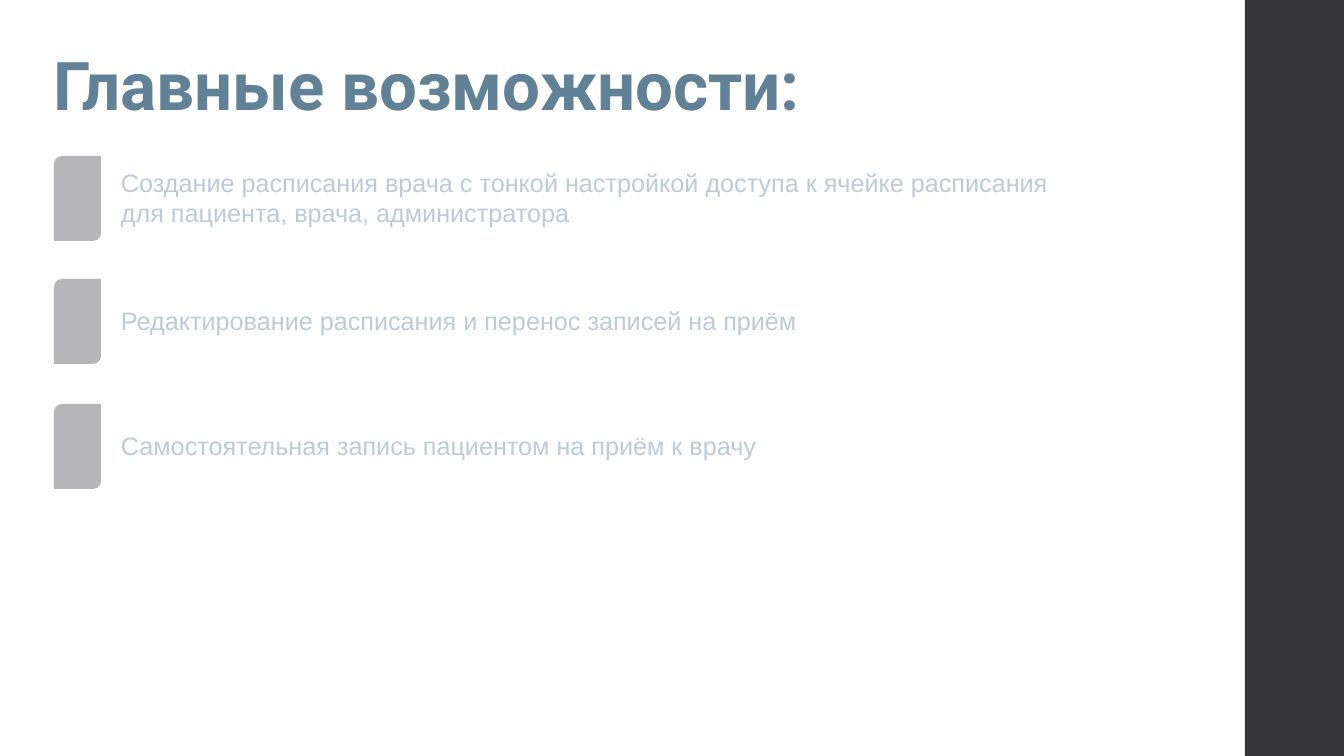
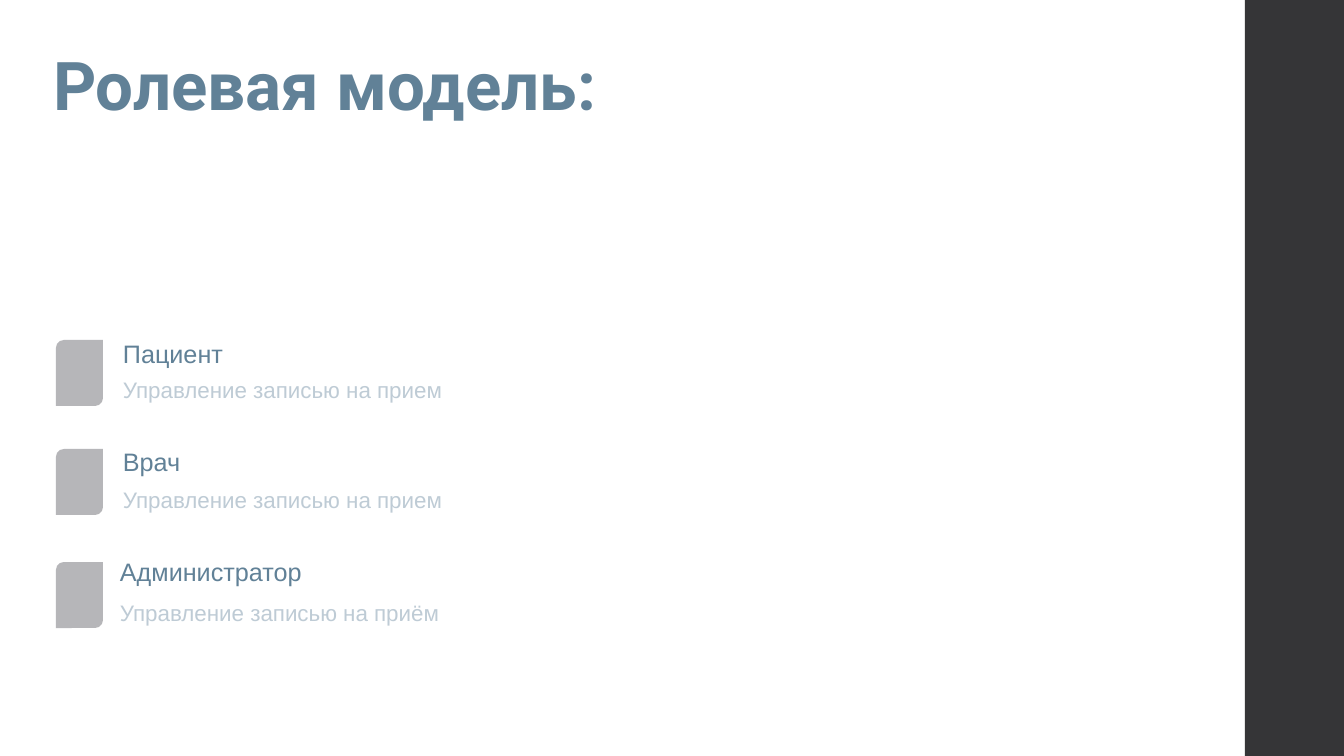
from pptx import Presentation
from pptx.dml.color import RGBColor
from pptx.enum.shapes import MSO_SHAPE
from pptx.enum.text import MSO_ANCHOR, MSO_AUTO_SIZE, PP_ALIGN
from pptx.oxml.ns import qn
from pptx.util import Pt
from lxml import etree

RECT, DIAG = MSO_SHAPE.RECTANGLE, MSO_SHAPE.ROUND_2_DIAG_RECTANGLE
TOP, MID, LOW = MSO_ANCHOR.TOP, MSO_ANCHOR.MIDDLE, MSO_ANCHOR.BOTTOM
LEFT, FIXED = PP_ALIGN.LEFT, MSO_AUTO_SIZE.NONE
SCALE = 914400 / 100.8
WIDE, HIGH = 1344, 756
COLORS = {"band": "353537", "mark": "6F6F74", "head": "618197", "pale": "BECBD5"}
FONTS = {
    "title": ({"name": "Roboto", "size": Pt(48), "bold": True}, "head"),
    "head": ({"name": "Arial", "size": Pt(18)}, "head"),
    "item": ({"name": "Arial", "size": Pt(18)}, "pale"),
    "note": ({"name": "Arial", "size": Pt(16)}, "pale"),
}
MARK_W = 47
ITEMS = [
    (156, "Создание расписания врача с тонкой настройкой доступа к ячейке расписания "
          "для пациента, врача, администратора"),
    (279, "Редактирование расписания и перенос записей на приём"),
    (404, "Самостоятельная запись пациентом на приём к врачу"),
]
ROLES = [
    (340, 57, -7, 31, "Пациент", "Управление записью на прием"),
    (449, 57, -8, 32, "Врач", "Управление записью на прием"),
    (562, 54, -11, 32, "Администратор", "Управление записью на приём"),
]


def px(*vals):
    """Turn pixel lengths into EMU."""
    return [round(val * SCALE) for val in vals]


def rgb(key):
    """Look up a named colour."""
    return RGBColor.from_string(COLORS[key])


def write(shape, text, style, anchor=TOP, pad=(10, 5)):
    """Fill a shape with one styled paragraph."""
    frame = shape.text_frame
    across, down = px(*pad)
    form = {"word_wrap": True, "auto_size": FIXED, "vertical_anchor": anchor,
            "margin_left": across, "margin_right": across,
            "margin_top": down, "margin_bottom": down}
    for key, val in form.items():
        setattr(frame, key, val)
    para = frame.paragraphs[0]
    para.alignment = LEFT
    run = para.add_run()
    run.text = text
    looks, color = FONTS[style]
    for key, val in looks.items():
        setattr(run.font, key, val)
    run.font.color.rgb = rgb(color)
    return para


def label(slide, box, text, style, anchor=TOP):
    """Add a text box."""
    write(slide.shapes.add_textbox(*px(*box)), text, style, anchor)


def block(slide, kind, box, color, alpha=None):
    """Add a plain filled shape, see-through if alpha is given."""
    shape = slide.shapes.add_shape(kind, *px(*box))
    shape.shadow.inherit = False
    shape.fill.solid()
    shape.fill.fore_color.rgb = rgb(color)
    shape.line.fill.background()
    if alpha:
        tint = shape.fill._xPr.find(qn("a:solidFill"))[0]
        etree.SubElement(tint, qn("a:alpha")).set("val", str(alpha * 1000))


def base(deck, text):
    """Start a slide with its side band and title."""
    slide = deck.slides.add_slide(deck.slide_layouts[5])
    block(slide, RECT, (1245, 0, WIDE - 1245, HIGH), "band")
    title = slide.shapes.title
    title.left, title.top, title.width, title.height = px(43, 33, 985, 102)
    write(title, text, "title", LOW, (10, 10)).line_spacing = 0.9
    return slide


def item(slide, box, text):
    """Place a marker with text centred beside it."""
    x, y, w, h = box
    block(slide, DIAG, (x, y, MARK_W, h), "mark", 50)
    label(slide, (x + 57, y - 1, w - 57, h), text, "item", MID)


def role(slide, box, shift, rise, drop, name, note):
    """Place a marker with a role name and a note beside it."""
    x, y, w, h = box
    block(slide, DIAG, (x, y, MARK_W, h), "mark", 50)
    label(slide, (x + shift, y + rise, w - shift, 40), name, "head")
    label(slide, (x + shift, y + drop, w - shift, 37), note, "note")


def main():
    """Build and save the deck."""
    deck = Presentation()
    deck.slide_width, deck.slide_height = px(WIDE, HIGH)
    slide = base(deck, "Главные возможности:")
    for y, text in ITEMS:
        item(slide, (54, y, 1006, 85), text)
    slide = base(deck, "Ролевая модель:")
    for y, *rest in ROLES:
        role(slide, (56, y, 466, 66), *rest)
    deck.save("out.pptx")


if __name__ == "__main__":
    main()
